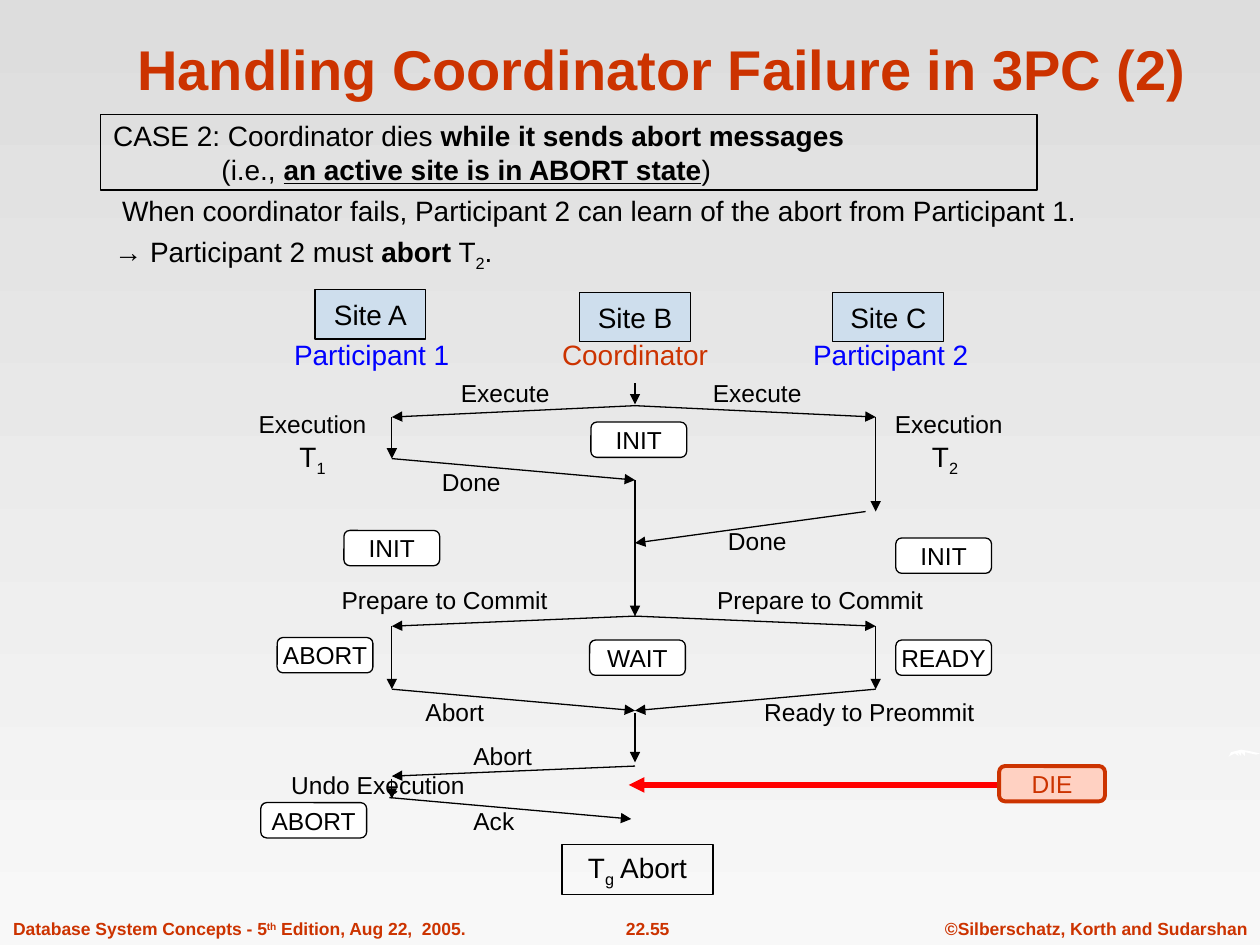
from lxml.etree import SubElement
from pptx import Presentation
from pptx.dml.color import RGBColor
from pptx.enum.shapes import MSO_CONNECTOR, MSO_SHAPE as Shape
from pptx.enum.text import MSO_ANCHOR as Anchor, MSO_AUTO_SIZE as AutoSize, PP_ALIGN as Align
from pptx.oxml.ns import qn
from pptx.util import Inches, Pt

RUST, BLUE, BLACK, WHITE, RED = "CC3300", "0000FF", "000000", "FFFFFF", "FF0000"
LANE_A, LANE_B, LANE_C = 3.11, 5.035, 6.955  # timelines of the three sites
LANE_A, LANE_B, LANE_C = 3.11, 5.04, 6.95  # timelines of the three sites
BOLD, SUB, SUPER = {"bold": True}, {"baseline": -25000}, {"baseline": 30000}


def color(hex_code):
    return RGBColor.from_string(hex_code)


def add_runs(paragraph, runs, size, ink=BLACK, bold=False):
    """Runs are plain strings or (text, style) pairs."""
    for item in [runs] if isinstance(runs, str) else runs:
        text, style = (item, {}) if isinstance(item, str) else item
        run = paragraph.add_run()
        run.text = text
        run.font.name, run.font.size = "Arial", Pt(size)
        run.font.color.rgb = color(ink)
        run.font.bold = style.get("bold", bold)
        run.font.underline = style.get("underline", False)
        if "baseline" in style:
            run._r.get_or_add_rPr().set("baseline", str(style["baseline"]))


def add_lines(frame, lines, size, space_before=0):
    """Lines are (left margin in inches, runs) pairs."""
    for index, (margin, runs) in enumerate(lines):
        paragraph = frame.add_paragraph() if index else frame.paragraphs[0]
        paragraph.alignment = Align.LEFT
        paragraph._p.get_or_add_pPr().set("marL", str(Inches(margin)))
        if index:
            paragraph.space_before = Pt(space_before)
        add_runs(paragraph, runs, size)


def add_label(slide, center_x, center_y, runs, size=14, ink=BLACK, bold=False):
    length = len(runs) if isinstance(runs, str) else sum(
        len(r if isinstance(r, str) else r[0]) for r in runs)
    width, height = length * size * 0.52 / 72 + 0.3, size * 1.15 / 72 + 0.1
    label = slide.shapes.add_textbox(Inches(center_x - width / 2), Inches(center_y - height / 2),
                                     Inches(width), Inches(height))
    frame = label.text_frame
    frame.word_wrap = False
    frame.vertical_anchor = Anchor.MIDDLE
    frame.paragraphs[0].alignment = Align.CENTER
    add_runs(frame.paragraphs[0], runs, size, ink, bold)


def add_box(slide, kind, place, fill=None, edge=BLACK, edge_width=0.75, alpha=None):
    box = slide.shapes.add_shape(kind, *map(Inches, place))
    box.shadow.inherit = False
    if fill:
        box.fill.solid()
        box.fill.fore_color.rgb = color(fill)
    else:
        box.fill.background()
    if alpha:
        rgb = box.fill._xPr.find(qn("a:solidFill")).find(qn("a:srgbClr"))
        SubElement(rgb, qn("a:alpha")).set("val", str(alpha * 1000))
    box.line.color.rgb = color(edge)
    box.line.width = Pt(edge_width)
    box.text_frame.word_wrap = False
    box.text_frame.vertical_anchor = Anchor.MIDDLE
    return box


def add_caption_box(slide, kind, place, runs, size, ink=BLACK, **look):
    box = add_box(slide, kind, place, **look)
    paragraph = box.text_frame.paragraphs[0]
    paragraph.alignment = Align.CENTER
    add_runs(paragraph, runs, size, ink)
    return box


def add_state(slide, left, top, name, width=0.76, ink=BLACK, **look):
    state = add_caption_box(slide, Shape.ROUNDED_RECTANGLE, (left, top, width, 0.28),
                            name, 14, ink, **{"fill": WHITE, **look})
    state.adjustments[0] = 0.167


def add_arrow(slide, ends, ink=BLACK, width=0.75):
    arrow = slide.shapes.add_connector(MSO_CONNECTOR.STRAIGHT, *map(Inches, ends))
    arrow.line.color.rgb = color(ink)
    arrow.line.width = Pt(width)
    SubElement(arrow.line._get_or_add_ln(), qn("a:tailEnd")).set("type", "triangle")
    SubElement(arrow._element.spPr, qn("a:effectLst"))


def add_background(slide):
    fill = slide.background.fill
    fill.gradient()
    fill.gradient_angle = 270
    for stop, shade, position in zip(fill.gradient_stops, ("DDDDDD", "F8F8F8"), (0, 1)):
        stop.color.rgb = color(shade)
        stop.position = position
    # White swoosh at the right edge, in hundredths of an inch
    crest = [(975, 601), (977, 597), (981, 596), (985, 595), (991, 596), (1000, 598),
             (997, 599), (988, 597), (988, 600), (985, 597), (985, 600), (982, 597),
             (983, 600), (980, 598), (976, 600)]
    builder = slide.shapes.build_freeform(*crest[0], scale=Inches(0.01))
    builder.add_line_segments(crest[1:], close=True)
    swoosh = builder.convert_to_shape()
    swoosh.shadow.inherit = False
    swoosh.fill.solid()
    swoosh.fill.fore_color.rgb = color(WHITE)
    swoosh.line.fill.background()


def add_footer(slide):
    edition = ["Database System Concepts - 5", ("th", SUPER), " Edition, Aug 22,  2005."]
    for center, runs in ((1.9, edition), (5.14, "22.55"),
                         (8.7, "©Silberschatz, Korth and Sudarshan")):
        add_label(slide, center, 7.37, runs, 10, RUST, True)


def add_heading(slide):
    title = slide.shapes.title
    title.left, title.top, title.width, title.height = map(Inches, (0.84, 0.19, 8.83, 0.67))
    frame = title.text_frame
    frame.auto_size = AutoSize.NONE
    frame.vertical_anchor = Anchor.BOTTOM
    frame.paragraphs[0].alignment = Align.CENTER
    add_runs(frame.paragraphs[0], "Handling Coordinator Failure in 3PC (2)", 32, RUST, True)

    case = add_box(slide, Shape.RECTANGLE, (0.8, 0.91, 7.43, 0.6))
    add_lines(case.text_frame, [
        (0, ["CASE 2: Coordinator dies", (" while it sends abort messages", BOLD)]),
        (0.86, ["(i.e., ", ("an active site is in ABORT state", {"bold": True, "underline": True}),
                ")"])], 16)

    outcome = slide.shapes.add_textbox(*map(Inches, (0.75, 1.49, 8.32, 0.72))).text_frame
    outcome.word_wrap = True
    add_lines(outcome, [
        (0.12, "When coordinator fails, Participant 2 can learn of the abort from Participant 1."),
        (0.06, ["→ Participant 2 must ", ("abort", BOLD), " T", ("2", SUB), "."])], 16, 4)


def add_sites(slide):
    for left, top, site, center, role, ink in (
            (2.5, 2.3, "Site A", 2.95, "Participant 1", BLUE),
            (4.6, 2.32, "Site B", 5.04, "Coordinator", RUST),
            (6.61, 2.32, "Site C", 7.07, "Participant 2", BLUE)):
        add_caption_box(slide, Shape.RECTANGLE, (left, top, 0.88, 0.39), site, 16,
                        fill="99CCFF", alpha=30)
        add_label(slide, center, 2.81, role, 16, ink)


def add_messages(slide):
    for center_x, center_y, message in (
            (4.01, 3.12, "Execute"), (6.01, 3.12, "Execute"),
            (2.48, 3.36, "Execution"), (7.53, 3.36, "Execution"),
            (3.74, 3.82, "Done"), (6.01, 4.29, "Done"),
            (3.53, 4.76, "Prepare to Commit"), (6.51, 4.76, "Prepare to Commit"),
            (3.61, 5.65, "Abort"), (6.9, 5.65, "Ready to Preommit"),
            (3.99, 6, "Abort"), (3, 6.23, "Undo Execution"), (3.92, 6.51, "Ack")):
        add_label(slide, center_x, center_y, message)
    for center_x, number in ((2.48, "1"), (7.5, "2")):
        add_label(slide, center_x, 3.64, ["T", (number, SUB)], 16)


def add_timeline(slide):
    # Messages between the sites
    for start, y1, end, y2 in (
            (LANE_B, 3.22, LANE_A, 3.31), (LANE_B, 3.22, LANE_C, 3.31),
            (LANE_A, 3.64, LANE_B, 3.81), (6.87, 4.06, LANE_B, 4.31),
            (LANE_B, 4.89, LANE_A, 4.97), (LANE_B, 4.89, LANE_C, 4.97),
            (LANE_A, 5.47, LANE_B, 5.64), (LANE_C, 5.47, LANE_B, 5.64),
            (LANE_B, 6.08, LANE_A, 6.16), (3.09, 6.33, 5.01, 6.5)):
        add_arrow(slide, (start, y1, end, y2))
    # Time passing at each site
    for lane, spans in ((LANE_A, ((3.31, 3.64), (4.97, 5.47), (6.18, 6.34))),
                        (LANE_B, ((3.04, 3.21), (3.81, 4.89), (5.66, 6.05))),
                        (LANE_C, ((3.31, 4.06), (4.97, 5.47)))):
        for top, bottom in spans:
            add_arrow(slide, (lane, top, lane, bottom))


def add_states(slide):
    for left, top, name in ((4.69, 3.35, "INIT"), (2.73, 4.21, "INIT"), (7.11, 4.27, "INIT"),
                            (4.68, 5.08, "WAIT"), (2.2, 5.06, "ABORT"), (7.11, 5.08, "READY")):
        add_state(slide, left, top, name)
    add_state(slide, 2.07, 6.37, "ABORT", 0.84)
    add_state(slide, 7.93, 6.08, "DIE", 0.84, RUST, fill="FFD1C2", edge=RUST, edge_width=2.25)
    add_arrow(slide, (7.91, 6.23, 4.99, 6.23), RED, 3)
    add_caption_box(slide, Shape.RECTANGLE, (4.46, 6.7, 1.2, 0.4),
                    ["T", ("g", SUB), " Abort"], 16)


def main():
    deck = Presentation()
    deck.slide_width, deck.slide_height = Inches(10), Inches(7.5)
    slide = deck.slides.add_slide(deck.slide_layouts[5])
    for build in (add_background, add_footer, add_heading, add_sites,
                  add_messages, add_timeline, add_states):
        build(slide)
    deck.save("out.pptx")


if __name__ == "__main__":
    main()
